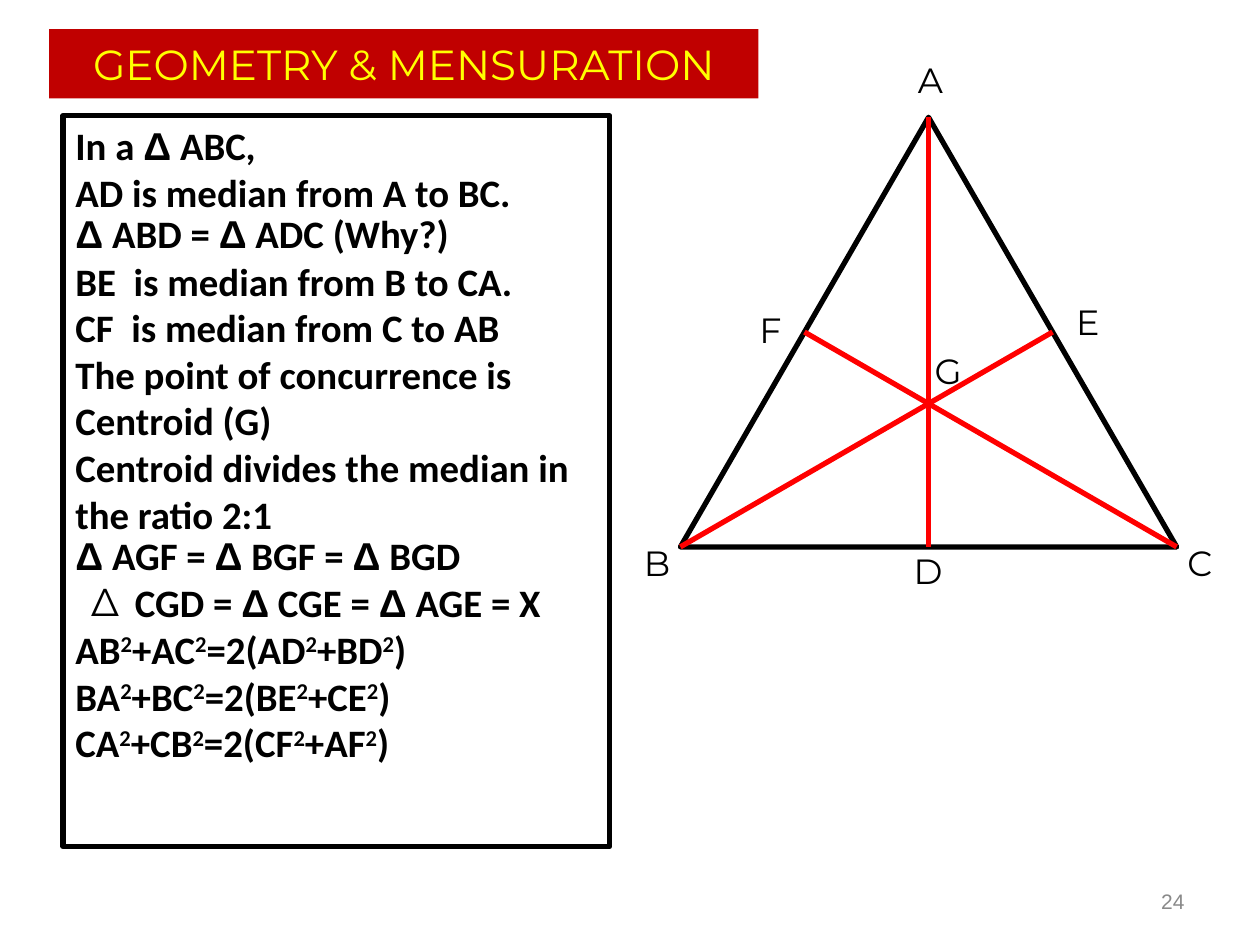
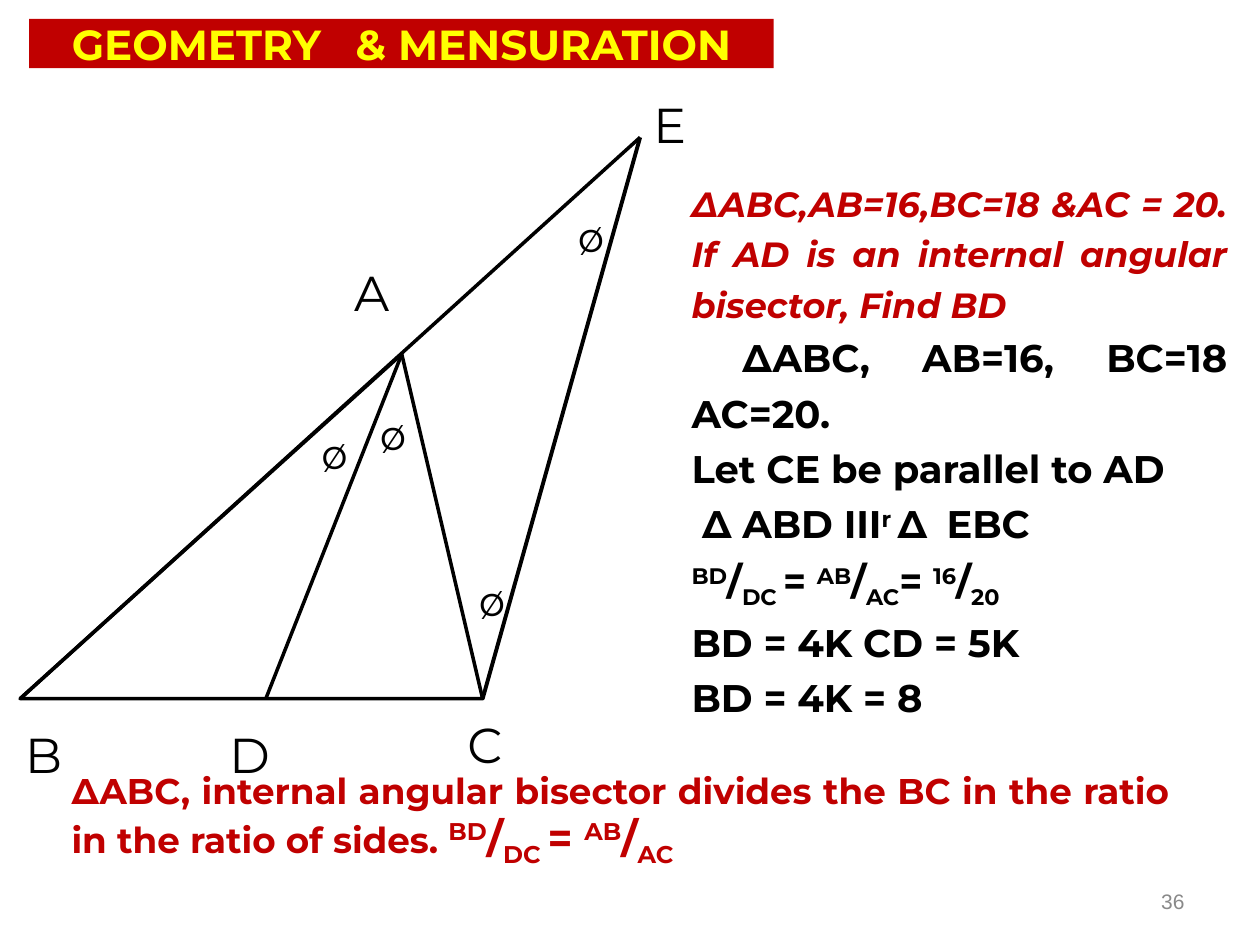
from dataclasses import dataclass
from itertools import groupby
from typing import Any, NamedTuple

from lxml import etree
from pptx import Presentation
from pptx import util as u
from pptx.dml.color import RGBColor
from pptx.enum import shapes, text
from pptx.oxml.ns import qn

BLACK = RGBColor(0, 0, 0)
RED = RGBColor(255, 0, 0)
DARK_RED = RGBColor(192, 0, 0)
YELLOW = RGBColor(255, 255, 0)
GREY = RGBColor(137, 137, 137)
BASELINES = {"^": "30000", "_": "-25000"}
WIDE_SPACE = "~"
TITLE_ONLY = 5
LEFT, CENTER, RIGHT, JUSTIFY = (
    text.PP_ALIGN.LEFT,
    text.PP_ALIGN.CENTER,
    text.PP_ALIGN.RIGHT,
    text.PP_ALIGN.JUSTIFY,
)


class Point(NamedTuple):
    x: float
    y: float


class Box(NamedTuple):
    left: float
    top: float
    width: float
    height: float


class Label(NamedTuple):
    words: str
    center: Point


@dataclass(frozen=True)
class Style:
    size: float
    name: str = "Montserrat"
    color: RGBColor = BLACK
    bold: bool = False
    italic: bool = False
    align: Any = LEFT
    spacing: float = 1.0
    gap: float = 5


@dataclass(frozen=True)
class Line:
    words: str
    style: Style
    margin: float = 0
    indent: float = 0
    bullet: str = ""


@dataclass(frozen=True)
class Segment:
    start: Point
    end: Point
    color: RGBColor
    width: float


MEDIAN_TEXT = Style(22.2, "Calibri", bold=True)
TIGHT_TEXT = Style(22.2, "Calibri", bold=True, spacing=0.9)
QUESTION = Style(20, color=DARK_RED, bold=True, italic=True, align=JUSTIFY, spacing=1.2)
SOLUTION = Style(22, bold=True, align=JUSTIFY, spacing=1.2)
RULE = Style(20.4, color=DARK_RED, bold=True, align=JUSTIFY, spacing=0.9)
RATIO = Style(23.8, color=DARK_RED, bold=True)
PAGE_NUMBER = Style(12, "Arial", GREY, align=RIGHT)


def apply(target: Any, values: dict[str, Any]) -> None:
    for name, value in values.items():
        setattr(target, name, value)


def points(values: tuple) -> list:
    return [u.Pt(value) for value in values]


def midpoint(first: Point, second: Point) -> Point:
    return Point((first.x + second.x) / 2, (first.y + second.y) / 2)


def add_runs(paragraph: Any, words: str, style: Style) -> None:
    marked = []
    baseline = ""
    for letter in words:
        if letter in BASELINES:
            baseline = "" if baseline else letter
        else:
            name = "Arial" if letter == "Δ" else style.name
            marked.append((letter, baseline, name, letter == WIDE_SPACE))
    for (baseline, name, wide), letters in groupby(marked, lambda item: item[1:]):
        run = paragraph.add_run()
        run.text = "".join(item[0] for item in letters).replace(WIDE_SPACE, " ")
        apply(run.font, {
            "name": name,
            "size": u.Pt(style.size),
            "bold": style.bold,
            "italic": style.italic,
        })
        run.font.color.rgb = style.color
        properties = run._r.get_or_add_rPr()
        if baseline:
            properties.set("baseline", BASELINES[baseline])
        if wide:
            properties.set("spc", str(round(style.gap * 100)))


def write(shape: Any, lines: list[Line], anchor: Any, inset: float = 7.2) -> None:
    frame = shape.text_frame
    apply(frame, {
        "word_wrap": True,
        "auto_size": text.MSO_AUTO_SIZE.NONE,
        "vertical_anchor": anchor,
        "margin_left": u.Pt(inset),
        "margin_right": u.Pt(inset),
        "margin_top": u.Pt(inset / 2),
        "margin_bottom": u.Pt(inset / 2),
    })
    for index, line in enumerate(lines):
        paragraph = frame.add_paragraph() if index else frame.paragraphs[0]
        properties = paragraph._p.get_or_add_pPr()
        properties.set("marL", str(u.Pt(line.margin)))
        properties.set("indent", str(u.Pt(line.indent)))
        if line.bullet:
            etree.SubElement(properties, qn("a:buFont"), typeface="Montserrat")
            etree.SubElement(properties, qn("a:buChar"), char=line.bullet)
        apply(paragraph, {
            "alignment": line.style.align,
            "line_spacing": line.style.spacing,
            "space_before": u.Pt(0),
            "space_after": u.Pt(0),
        })
        add_runs(paragraph, line.words, line.style)


def add_text(slide: Any, box: Box, lines: list[Line],
             anchor: Any = text.MSO_ANCHOR.TOP, inset: float = 7.2) -> Any:
    shape = slide.shapes.add_textbox(*points(box))
    write(shape, lines, anchor, inset)
    return shape


def add_outline(shape: Any, width: float) -> None:
    shape.line.color.rgb = BLACK
    shape.line.width = u.Pt(width)


def add_triangle(slide: Any, apex: Point, left: Point, right: Point, width: float) -> None:
    box = Box(left.x, apex.y, right.x - left.x, left.y - apex.y)
    shape = slide.shapes.add_shape(shapes.MSO_SHAPE.ISOSCELES_TRIANGLE, *points(box))
    shape.adjustments[0] = (apex.x - left.x) / box.width
    shape.shadow.inherit = False
    shape.fill.background()
    add_outline(shape, width)


def add_segments(slide: Any, segments: list[Segment]) -> None:
    for segment in segments:
        connector = slide.shapes.add_connector(
            shapes.MSO_CONNECTOR.STRAIGHT, *points(segment.start + segment.end))
        connector.line.color.rgb = segment.color
        connector.line.width = u.Pt(segment.width)
        etree.SubElement(connector._element.spPr, qn("a:effectLst"))


def add_labels(slide: Any, labels: list[Label], size: float) -> None:
    side = size * 1.5
    style = Style(size, align=CENTER)
    for label in labels:
        box = Box(label.center.x - side / 2, label.center.y - side / 2, side, side)
        add_text(slide, box, [Line(label.words, style)], text.MSO_ANCHOR.MIDDLE, 0)


def add_titled_slide(presentation: Any, title: str, band: Box, bold: bool, number: str) -> Any:
    slide = presentation.slides.add_slide(presentation.slide_layouts[TITLE_ONLY])
    shape = slide.shapes.title
    apply(shape, dict(zip(("left", "top", "width", "height"), points(band))))
    shape.fill.solid()
    shape.fill.fore_color.rgb = DARK_RED
    style = Style(24, color=YELLOW, bold=bold, align=CENTER, gap=13)
    write(shape, [Line(title, style)], text.MSO_ANCHOR.MIDDLE)
    add_text(slide, Box(516.2, 500.4, 167.8, 28.8), [Line(number, PAGE_NUMBER)],
             text.MSO_ANCHOR.MIDDLE)
    return slide


def build_medians(presentation: Any) -> None:
    slide = add_titled_slide(
        presentation, "GEOMETRY & MENSURATION", Box(28, 16.6, 405.4, 39.6), False, "24")
    panel = add_text(slide, Box(36, 66.2, 312.5, 417.6), [
        Line("In a Δ ABC,", MEDIAN_TEXT),
        Line("AD is median from A to BC.", MEDIAN_TEXT),
        Line("Δ ABD = Δ ADC (Why?)", TIGHT_TEXT),
        Line("BE~is median from B to CA.", MEDIAN_TEXT),
        Line("CF~is median from C to AB", MEDIAN_TEXT),
        Line("The point of concurrence is Centroid (G)", MEDIAN_TEXT),
        Line("Centroid divides the median in the ratio 2:1", MEDIAN_TEXT),
        Line("Δ AGF = Δ BGF = Δ BGD", TIGHT_TEXT),
        Line("CGD = Δ CGE = Δ AGE = X", MEDIAN_TEXT, 34, -25, "Δ"),
        Line("AB^2^+AC^2^=2(AD^2^+BD^2^)", MEDIAN_TEXT),
        Line("BA^2^+BC^2^=2(BE^2^+CE^2^)", MEDIAN_TEXT),
        Line("CA^2^+CB^2^=2(CF^2^+AF^2^)", MEDIAN_TEXT),
    ])
    add_outline(panel, 3)

    a, b, c = Point(530.6, 67), Point(388.8, 312.5), Point(672.4, 312.5)
    add_triangle(slide, a, b, c, 3)
    add_segments(slide, [
        Segment(vertex, midpoint(*side), RED, 3)
        for vertex, side in ((a, (b, c)), (b, (c, a)), (c, (a, b)))
    ])
    add_labels(slide, [
        Label("A", Point(531.7, 45.7)),
        Label("B", Point(375.5, 321.5)),
        Label("C", Point(685.8, 321.5)),
        Label("E", Point(621.7, 184)),
        Label("G", Point(541.8, 212)),
        Label("F", Point(440.3, 188.3)),
        Label("D", Point(530.3, 325.8)),
    ], 20)


def build_bisector(presentation: Any) -> None:
    slide = add_titled_slide(
        presentation, "GEOMETRY~& MENSURATION", Box(16.6, 10.8, 425.5, 28.1), True, "36")
    add_text(slide, Box(388.1, 95.8, 320.4, 326.2), [
        Line("∆ABC,AB=16,BC=18 &AC = 20. If AD is an internal angular bisector, Find BD",
             QUESTION),
        Line("∆ABC, AB=16, BC=18 AC=20.", SOLUTION, indent=29),
        Line("Let CE be parallel to AD", SOLUTION),
        Line("∆ ABD III^r ^∆~EBC", SOLUTION, indent=6),
        Line("^BD^/_DC _= ^AB^/_AC_= ^16^/_20_", SOLUTION),
        Line("BD = 4K CD = 5K", SOLUTION),
        Line("BD = 4K = 8", SOLUTION),
    ])

    a, b, c = Point(229.6, 202.4), Point(11.5, 399.3), Point(275.8, 399.3)
    d, e = Point(151.9, 399.3), Point(365.8, 78.5)
    add_triangle(slide, a, b, c, 2)
    add_segments(slide, [
        Segment(a, d, BLACK, 2),
        Segment(e, c, BLACK, 2.25),
        Segment(b, e, BLACK, 2),
    ])
    add_labels(slide, [
        Label("A", Point(212.4, 166.7)),
        Label("B", Point(25, 431)),
        Label("C", Point(277.2, 425.2)),
        Label("E", Point(382.7, 71)),
        Label("D", Point(142.6, 431)),
    ], 28)
    add_labels(slide, [
        Label("ø", center) for center in (
            Point(281.2, 342.7), Point(224.6, 247.7), Point(191.2, 258.8), Point(337.7, 134.6))
    ], 24)
    conclusion = add_text(slide, Box(33.8, 438.5, 641.5, 67.7), [
        Line("∆ABC, internal angular bisector divides the BC in the ratio "
             "in the ratio of sides. ", RULE),
    ])
    add_runs(conclusion.text_frame.paragraphs[0], "^BD^/_DC _= ^AB^/_AC_", RATIO)


def main() -> None:
    presentation = Presentation()
    apply(presentation, {"slide_width": u.Pt(720), "slide_height": u.Pt(540)})
    build_medians(presentation)
    build_bisector(presentation)
    presentation.save("out.pptx")


if __name__ == "__main__":
    main()
